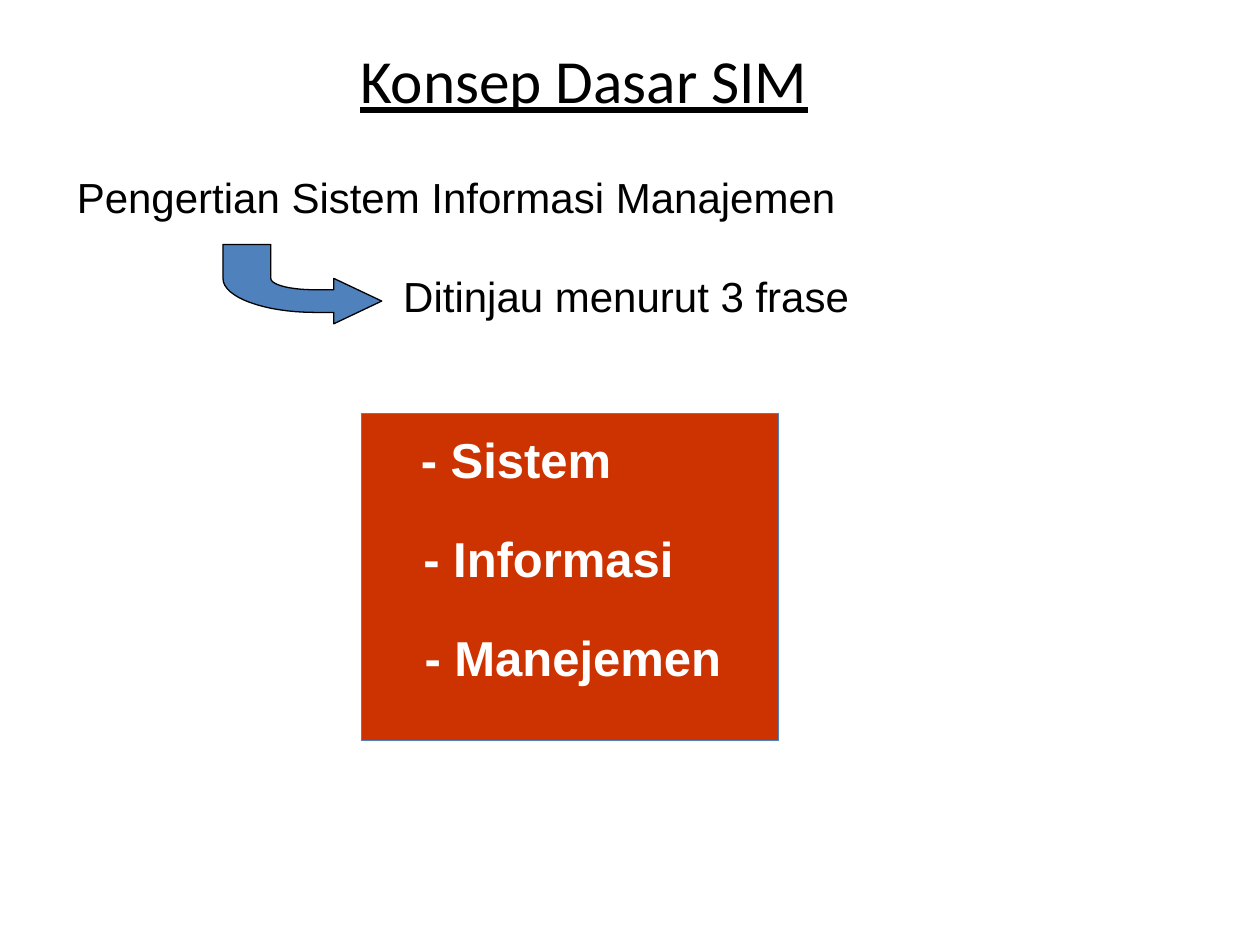
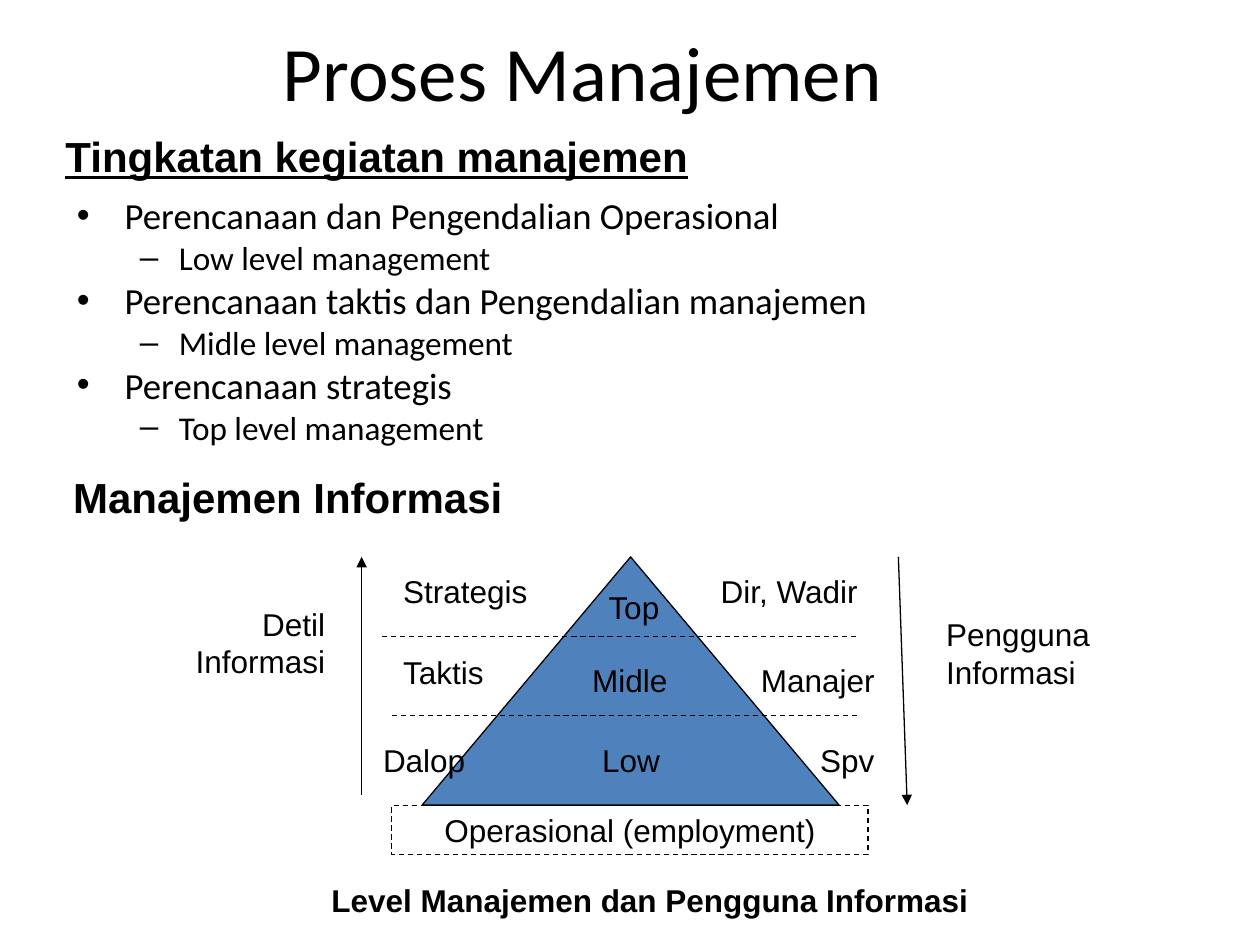
from collections import namedtuple
from dataclasses import dataclass
from lxml.etree import SubElement
from pptx import Presentation
from pptx.dml.color import RGBColor
from pptx.enum.dml import MSO_LINE
from pptx.enum.shapes import MSO_CONNECTOR, MSO_SHAPE
from pptx.enum.text import MSO_ANCHOR, MSO_AUTO_SIZE, PP_ALIGN
from pptx.oxml.ns import qn
from pptx.util import Inches, Pt

Box = namedtuple("Box", "x y w h")


@dataclass(frozen=True)
class Theme:
    black: str = "000000"
    white: str = "FFFFFF"
    blue: str = "4F81BD"
    red: str = "CC3300"
    head: str = "Calibri"
    text: str = "Arial"
    label: int = 18
    lead: int = 24
    phrase: int = 28
    line: float = 0.75
    slack: float = 0.04


THEME = Theme()
LEVELS = ((21, 0.38, -0.38, 5.2), (19, 0.81, -0.31, 4.8))


def rgb(code):
    return RGBColor.from_string(code)


def place(shape, box):
    shape.left, shape.top, shape.width, shape.height = map(Inches, box)


def write(frame, lines, size=THEME.label, font=THEME.text, color=THEME.black,
          bold=False, under=False, align=PP_ALIGN.LEFT):
    paras = []
    for num, line in enumerate(lines):
        para = frame.add_paragraph() if num else frame.paragraphs[0]
        para.alignment = align
        run = para.add_run()
        run.text = line
        style = run.font
        style.size, style.name = Pt(size), font
        style.bold, style.underline = bold, under
        style.color.rgb = rgb(color)
        paras.append(para)
    return paras


def label(slide, box, *lines, **style):
    wide = Box(box.x - THEME.slack / 2, box.y, box.w + THEME.slack, box.h)
    shape = slide.shapes.add_textbox(*map(Inches, wide))
    frame = shape.text_frame
    frame.margin_left = frame.margin_right = Inches(0.1 + THEME.slack / 4)
    frame.word_wrap = False
    frame.auto_size = MSO_AUTO_SIZE.SHAPE_TO_FIT_TEXT
    write(frame, lines, **style)


def paint(shape, fill=None, line=THEME.black, dash=None):
    shape.shadow.inherit = False
    if fill:
        shape.fill.solid()
        shape.fill.fore_color.rgb = rgb(fill)
    else:
        shape.fill.background()
    stroke(shape.line, line, dash)


def stroke(line, color=THEME.black, dash=None):
    line.color.rgb = rgb(color)
    line.width = Pt(THEME.line)
    if dash:
        line.dash_style = dash


def block(slide, kind, box, **look):
    shape = slide.shapes.add_shape(kind, *map(Inches, box))
    paint(shape, **look)
    return shape


def rule(slide, start, end, dash=None, arrow=False):
    link = slide.shapes.add_connector(
        MSO_CONNECTOR.STRAIGHT, *map(Inches, start + end))
    stroke(link.line, dash=dash)
    props = link._element.spPr
    if arrow:
        SubElement(props.find(qn("a:ln")), qn("a:tailEnd"), type="triangle")
    SubElement(props, qn("a:effectLst"))


def title(slide, box, text, size, under=False):
    shape = slide.shapes.title
    place(shape, box)
    frame = shape.text_frame
    frame.auto_size = MSO_AUTO_SIZE.NONE
    frame.vertical_anchor = MSO_ANCHOR.MIDDLE
    write(frame, [text], size=size, font=THEME.head, under=under,
          align=PP_ALIGN.CENTER)


def curve(a, b, c, d, steps=16):
    for num in range(1, steps + 1):
        t = num / steps
        u = 1 - t
        yield tuple(u**3 * p + 3 * u * u * t * q + 3 * u * t * t * r + t**3 * s
                    for p, q, r, s in zip(a, b, c, d))


def bend(slide, box):
    w, h = box.w, box.h
    neck, stem, join = 0.88, 0.38, 0.73
    points = [
        (w, 0.45), (neck, h), (neck, 0.54), (join, 0.54),
        *curve((join, 0.54), (0.33, 0.54), (0, 0.42), (0, 0.27)),
        (0, 0), (stem, 0), (stem, 0.27),
        *curve((stem, 0.27), (stem, 0.32), (0.53, 0.36), (join, 0.36)),
        (neck, 0.36), (neck, 0.27),
    ]
    spots = [(Inches(box.x + x), Inches(box.y + y)) for x, y in points]
    path = slide.shapes.build_freeform(*spots[0])
    path.add_line_segments(spots[1:], close=True)
    paint(path.convert_to_shape(), fill=THEME.blue)


def phrases(slide, box):
    block(slide, MSO_SHAPE.RECTANGLE, box, fill=THEME.red, line=THEME.blue)
    items = (("- Sistem", 0.38, 1.71), ("- Informasi", 0.4, 2.18),
             ("- Manejemen", 0.41, 2.55))
    for num, (text, x, w) in enumerate(items):
        spot = Box(box.x + x, box.y + 0.08 + num * 0.785, w, 0.57)
        label(slide, spot, text, size=THEME.phrase, color=THEME.white, bold=True)


def bullets(slide, box, items):
    body = slide.placeholders[1]
    place(body, box)
    frame = body.text_frame
    frame.auto_size = MSO_AUTO_SIZE.NONE
    for num, para in enumerate(write(frame, items, font=THEME.head)):
        level = num % 2
        size, left, hang, gap = LEVELS[level]
        para.level = level
        para.line_spacing, para.space_before = 0.8, Pt(gap)
        para.runs[0].font.size = Pt(size)
        props = para._p.get_or_add_pPr()
        props.set("marL", str(Inches(left)))
        props.set("indent", str(Inches(hang)))


def pyramid(slide, box):
    x, y, w, h = box
    end = y + h
    block(slide, MSO_SHAPE.ISOSCELES_TRIANGLE, Box(x + 0.48, y, 3.31, h),
          fill=THEME.blue)
    rule(slide, (x, end - 0.08), (x, y), arrow=True)
    rule(slide, (x + 4.26, y), (x + w, end), arrow=True)
    for left, drop in ((0.16, 0.63), (0.24, 1.26)):
        rule(slide, (x + left, y + drop), (x + 3.94, y + drop),
             dash=MSO_LINE.DASH)
    names = (
        ("Strategis", 0.24, 0.07, 1.18), ("Top", 1.87, 0.2, 0.63),
        ("Dir, Wadir", 2.76, 0.07, 1.31),
        ("Taktis", 0.24, 0.71, 0.86), ("Midle", 1.74, 0.78, 0.79),
        ("Manajer", 3.08, 0.78, 1.1),
        ("Dalop", 0.08, 1.41, 0.85), ("Low", 1.82, 1.41, 0.66),
        ("Spv", 3.55, 1.41, 0.63),
    )
    for text, left, drop, wide in names:
        label(slide, Box(x + left, y + drop, wide, 0.4), text)
    label(slide, Box(x - 1.43, y + 0.33, 1.23, 0.7), "Detil", "Informasi",
          align=PP_ALIGN.RIGHT)
    label(slide, Box(x + 4.55, y + 0.41, 1.34, 0.7), "Pengguna", "Informasi")
    base = block(slide, MSO_SHAPE.RECTANGLE, Box(x + 0.24, end, 3.78, 0.39),
                 dash=MSO_LINE.DASH)
    frame = base.text_frame
    frame.word_wrap = False
    frame.vertical_anchor = MSO_ANCHOR.MIDDLE
    write(frame, ["Operasional (employment)"], align=PP_ALIGN.CENTER)
    label(slide, Box(x - 0.33, end + 0.55, 5.25, 0.4),
          "Level Manajemen dan Pengguna Informasi", bold=True)


def concept(deck):
    slide = deck.slides.add_slide(deck.slide_layouts[5])
    title(slide, Box(0.51, 0.28, 8.25, 0.7), "Konsep Dasar SIM", 35, under=True)
    label(slide, Box(0.52, 1.31, 6.22, 0.5),
          "Pengertian Sistem Informasi Manajemen", size=THEME.lead)
    label(slide, Box(3.11, 2.1, 3.74, 0.5), "Ditinjau menurut 3 frase",
          size=THEME.lead)
    phrases(slide, Box(2.87, 3.28, 3.31, 2.6))
    bend(slide, Box(1.77, 1.94, 1.26, 0.63))


def process(deck):
    slide = deck.slides.add_slide(deck.slide_layouts[1])
    title(slide, Box(0.5, 0.13, 8.25, 0.86), "Proses Manajemen", 44)
    bullets(slide, Box(0.51, 1.55, 9, 2.27), (
        "Perencanaan dan Pengendalian Operasional", "Low level management",
        "Perencanaan taktis dan Pengendalian manajemen",
        "Midle level management",
        "Perencanaan strategis", "Top level management"))
    label(slide, Box(0.43, 0.99, 5.14, 0.5), "Tingkatan kegiatan manajemen",
          size=THEME.lead, bold=True, under=True)
    label(slide, Box(0.49, 3.69, 3.61, 0.5), "Manajemen Informasi",
          size=THEME.lead, bold=True)
    pyramid(slide, Box(2.87, 4.42, 4.33, 1.97))


def main():
    deck = Presentation()
    deck.slide_width, deck.slide_height = Inches(10), Inches(7.5)
    concept(deck)
    process(deck)
    deck.save("out.pptx")


if __name__ == "__main__":
    main()
